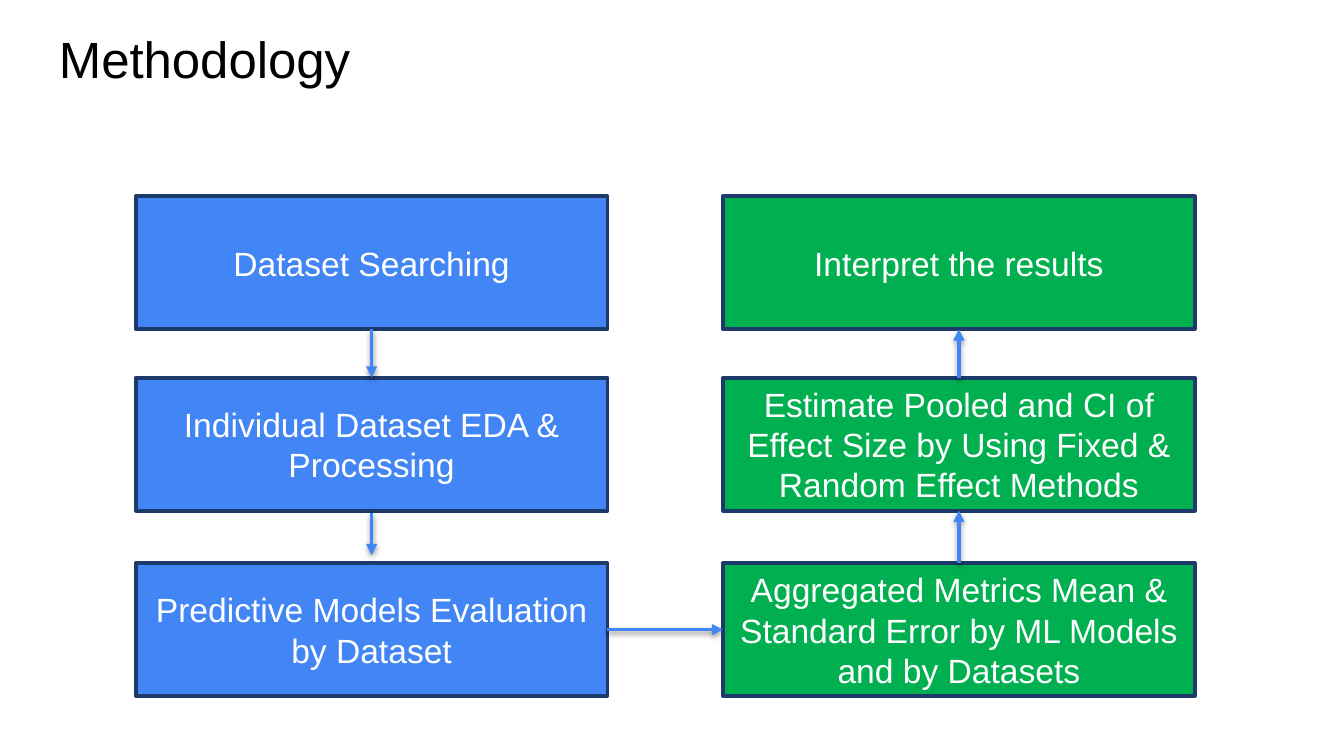
from dataclasses import dataclass

from lxml.etree import SubElement
from pptx import Presentation
from pptx.dml.color import RGBColor
from pptx.enum.shapes import MSO_CONNECTOR, MSO_SHAPE
from pptx.enum.text import MSO_ANCHOR, PP_ALIGN
from pptx.oxml.ns import qn
from pptx.slide import Slide
from pptx.util import Inches, Pt

BLUE = RGBColor(0x42, 0x85, 0xF4)
GREEN = RGBColor(0x00, 0xB0, 0x50)
NAVY = RGBColor(0x1D, 0x3A, 0x6B)
WHITE = RGBColor(0xFF, 0xFF, 0xFF)
BLACK = RGBColor(0x00, 0x00, 0x00)
FONT = "Arial"

SLIDE_W = 10
SLIDE_H = SLIDE_W * 9 / 16
BOX_W, BOX_H = 3.51, 0.99
LEFT_X, RIGHT_X = 1.01, 5.38
ROWS = (1.46, 2.81, 4.19)
LEFT_MID, RIGHT_MID = LEFT_X + BOX_W / 2, RIGHT_X + BOX_W / 2
LAST_MID = ROWS[2] + BOX_H / 2


@dataclass
class Column:
    x: float
    fill: RGBColor
    steps: tuple[str, ...]


@dataclass
class Arrow:
    x1: float
    y1: float
    x2: float
    y2: float


COLUMNS = (
    Column(LEFT_X, BLUE, (
        "Dataset Searching",
        "Individual Dataset EDA & Processing",
        "Predictive Models Evaluation by Dataset",
    )),
    Column(RIGHT_X, GREEN, (
        "Interpret the results",
        "Estimate Pooled and CI of Effect Size by Using Fixed & Random Effect Methods",
        "Aggregated Metrics Mean & Standard Error by ML Models and by Datasets",
    )),
)

ARROWS = (
    Arrow(LEFT_MID, ROWS[0] + BOX_H, LEFT_MID, ROWS[1]),
    Arrow(LEFT_MID, 3.82, LEFT_MID, 4.13),
    Arrow(LEFT_X + BOX_W, LAST_MID, RIGHT_X, LAST_MID),
    Arrow(RIGHT_MID, ROWS[2], RIGHT_MID, ROWS[1] + BOX_H),
    Arrow(RIGHT_MID, ROWS[1], RIGHT_MID, ROWS[0] + BOX_H),
)


def add_run(p, text: str, size: float, color: RGBColor) -> None:
    r = p.add_run()
    r.text = text
    r.font.name = FONT
    r.font.size = Pt(size)
    r.font.color.rgb = color


def add_step(s: Slide, x: float, y: float, fill: RGBColor, text: str) -> None:
    sp = s.shapes.add_shape(MSO_SHAPE.RECTANGLE, Inches(x), Inches(y),
                            Inches(BOX_W), Inches(BOX_H))
    sp.shadow.inherit = False
    sp.fill.solid()
    sp.fill.fore_color.rgb = fill
    sp.line.color.rgb = NAVY
    sp.line.width = Pt(2)
    tf = sp.text_frame
    tf.word_wrap = True
    tf.vertical_anchor = MSO_ANCHOR.MIDDLE
    p = tf.paragraphs[0]
    p.alignment = PP_ALIGN.CENTER
    add_run(p, text, 18, WHITE)


def add_arrow(s: Slide, arrow: Arrow) -> None:
    """Draw a line with a triangle head at its end and a soft shadow below."""
    cx = s.shapes.add_connector(MSO_CONNECTOR.STRAIGHT, Inches(arrow.x1), Inches(arrow.y1),
                                Inches(arrow.x2), Inches(arrow.y2))
    cx.line.color.rgb = BLUE
    cx.line.width = Pt(2)
    SubElement(cx.line._get_or_add_ln(), qn("a:tailEnd"), type="triangle")
    effects = SubElement(cx._element.spPr, qn("a:effectLst"))
    shadow = SubElement(effects, qn("a:outerShdw"), blurRad=str(Pt(3.1)), dist=str(Pt(1.6)),
                        dir="5400000", rotWithShape="0")
    color = SubElement(shadow, qn("a:srgbClr"), val=str(BLACK))
    SubElement(color, qn("a:alpha"), val="38000")


def add_title(s: Slide, text: str) -> None:
    tf = s.shapes.add_textbox(Inches(0.34), Inches(0.16), Inches(9.32), Inches(0.63)).text_frame
    tf.word_wrap = True
    tf.margin_left = tf.margin_right = tf.margin_top = tf.margin_bottom = Inches(0.1)
    p = tf.paragraphs[0]
    p.line_spacing = 0.9
    add_run(p, text, 27.3, BLACK)


def main() -> None:
    prs = Presentation()
    prs.slide_width, prs.slide_height = Inches(SLIDE_W), Inches(SLIDE_H)
    s = prs.slides.add_slide(prs.slide_layouts[6])
    for column in COLUMNS:
        for y, step in zip(ROWS, column.steps):
            add_step(s, column.x, y, column.fill, step)
    for arrow in ARROWS:
        add_arrow(s, arrow)
    add_title(s, "Methodology")
    prs.save("out.pptx")


if __name__ == "__main__":
    main()
